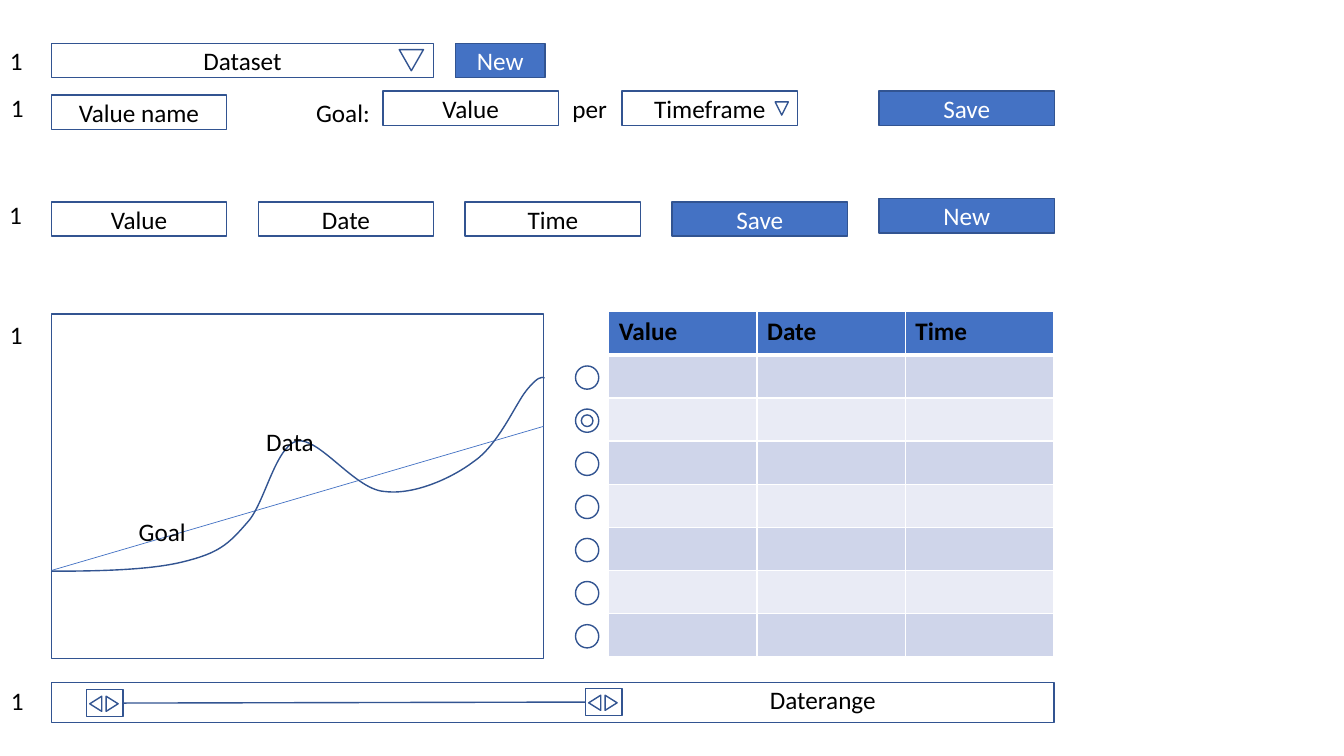
from lxml import etree
from pptx import Presentation
from pptx import util as u
from pptx.dml.color import RGBColor
from pptx.enum import shapes, text
from pptx.oxml import ns

COLORS = {"outline": "325491", "accent": "4472C4", "black": "000000",
          "white": "FFFFFF", "odd_row": "CFD5EA", "even_row": "E9EBF5"}
FONT, FONT_SIZE = "Calibri", 18

# Columns of fields
FIELD_LEFT, FIELD_STEP, FIELD_WIDTH, FIELD_HEIGHT = 36.7, 147.8, 125.3, 24.5
COLUMNS = [FIELD_LEFT + index * FIELD_STEP for index in range(5)]

# Label, left, top, width
FIELDS = [
    ("Dataset", COLUMNS[0], 31, 273),
    ("Value name", COLUMNS[0], 67.9, FIELD_WIDTH),
    ("Value", 273.6, 65.1, FIELD_WIDTH),
    ("Timeframe", 444.4, 65, FIELD_WIDTH),
    ("Value", COLUMNS[0], 144.2, FIELD_WIDTH),
    ("Date", COLUMNS[1], 144.2, FIELD_WIDTH),
    ("Time", COLUMNS[2], 144.2, FIELD_WIDTH),
]
BUTTONS = [
    ("New", 325.2, 31, 64.3),
    ("Save", COLUMNS[4], 65.1, FIELD_WIDTH),
    ("Save", COLUMNS[3], 144.2, FIELD_WIDTH),
    ("New", COLUMNS[4], 142, FIELD_WIDTH),
]
# Text, left, top, width, wraps
LABELS = [
    ("Goal:", 218.7, 65.7, 53.3, False),
    ("per", 401.8, 63, 39.6, False),
    ("Goal", 92, 365.3, 60.5, True),
    ("Data", 183.1, 300.7, 61.2, True),
    ("Daterange", 542.9, 485.5, 90.7, True),
    ("1", 0, 28.8, 23.8, True),
    ("1", 0.7, 62.6, 23.8, True),
    ("1", -0.5, 138.7, 23.8, True),
    ("1", 0, 224.6, 23.8, True),
    ("1", 0.7, 486.3, 23.8, True),
]
# Centre x, centre y, base, height
DROP_ARROWS = [(293.8, 43, 17.3, 15.1), (558.4, 77.5, 9.4, 9.4)]

CHART_FRAME = (36.7, 224.2, 351.4, 246.2)
GOAL_LINE = (36.7, 407.5, 388.1, 304.6)
DATA_START = (37.4, 408.2)
DATA_CURVES = [  # two control points and an end point for each stretch
    ((73.4, 407.5), (109.4, 406.8), (132.5, 401)),
    ((155.5, 395.3), (163.4, 388.8), (176.4, 374.4)),
    ((189.4, 360.7), (195.8, 319.7), (212.4, 315.4)),
    ((228.2, 311.8), (252.7, 349.2), (273.6, 351.4)),
    ((295.2, 353.5), (321.8, 342), (338.4, 329.8)),
    ((355.7, 317.5), (367.9, 289.4), (375.8, 279.4)),
    ((384.5, 269.3), (386.6, 269.3), (389.2, 270)),
]

HEADERS = ["Value", "Date", "Time"]
DATA_ROWS, ROW_HEIGHT, COLUMN_WIDTH = 7, 30.8, 105.9
TABLE_LEFT, TABLE_TOP = 434.9, 222.7
RADIO_LEFT, RADIO_TOP, RADIO_SIZE, SELECTED_ROW = 411.1, 261.4, 16.6, 1

RANGE_FRAME = (36.7, 487.4, 716.2, 28.8)
HANDLES = [(61.9, 492.5), (418.3, 491.8)]
HANDLE_SIZE = (25.9, 19.4)
HANDLE_ARROWS = [(6.5, 270), (18.2, 90)]  # offset of centre, rotation


def color(name):
    """Return the named colour."""
    return RGBColor.from_string(COLORS[name])


def write(frame, words, ink="black", bold=False, align=None):
    """Put one formatted line of text in a text frame."""
    para = frame.paragraphs[0]
    para.alignment = align
    span = para.add_run()
    span.text = words
    span.font.name, span.font.size = FONT, u.Pt(FONT_SIZE)
    span.font.bold = bold
    span.font.color.rgb = color(ink)


def paint(shape, fill=None):
    """Give a shape its outline and optional fill, without shadow."""
    shape.shadow.inherit = False
    if fill:
        shape.fill.solid()
        shape.fill.fore_color.rgb = color(fill)
    else:
        shape.fill.background()
    shape.line.color.rgb = color("outline")
    shape.line.width = u.Pt(1)


def add_shape(kind, left, top, width, height, fill=None):
    """Add a painted preset shape."""
    shape = page.shapes.add_shape(kind, *map(u.Pt, (left, top, width, height)))
    paint(shape, fill)
    return shape


def add_field(words, left, top, width, fill=None, ink="black"):
    """Add a rectangle with centred text."""
    box = add_shape(shapes.MSO_SHAPE.RECTANGLE, left, top, width, FIELD_HEIGHT, fill)
    box.text_frame.vertical_anchor = text.MSO_ANCHOR.MIDDLE
    write(box.text_frame, words, ink=ink, align=text.PP_ALIGN.CENTER)


def add_triangle(center_x, center_y, base, height, rotation):
    """Add a triangle turned about its centre."""
    triangle = add_shape(shapes.MSO_SHAPE.ISOSCELES_TRIANGLE, center_x - base / 2,
                         center_y - height / 2, base, height)
    triangle.rotation = rotation


def add_line(start_x, start_y, end_x, end_y, ink, width):
    """Add a straight line."""
    line = page.shapes.add_connector(shapes.MSO_CONNECTOR.STRAIGHT,
                                     *map(u.Pt, (start_x, start_y, end_x, end_y)))
    line.line.color.rgb = color(ink)
    line.line.width = u.Pt(width)
    etree.SubElement(line._element.spPr, ns.qn("a:effectLst"))


def add_curve(start, curves):
    """Add an open outline and join each three points into a Bezier curve."""
    builder = page.shapes.build_freeform(*start, scale=u.Pt(1))
    builder.add_line_segments([point for curve in curves for point in curve], close=False)
    shape = builder.convert_to_shape()
    paint(shape)
    steps = list(shape._element.iter(ns.qn("a:lnTo")))
    for first in range(0, len(steps), 3):
        bezier = etree.Element(ns.qn("a:cubicBezTo"))
        steps[first].addprevious(bezier)
        for step in steps[first:first + 3]:
            bezier.append(step[0])
            step.getparent().remove(step)


def add_borders(cell, row):
    """Draw white cell borders, heavy below the header."""
    widths = {"L": 1, "R": 1, "T": 3 if row == 1 else 1, "B": 3 if row == 0 else 1}
    for side, width in widths.items():
        border = etree.SubElement(cell._tc.get_or_add_tcPr(), ns.qn("a:ln" + side),
                                  w=str(u.Pt(width)))
        fill = etree.SubElement(border, ns.qn("a:solidFill"))
        etree.SubElement(fill, ns.qn("a:srgbClr"), val=COLORS["white"])


def add_entries():
    """Add the table of entries and its radio buttons."""
    size = (len(HEADERS) * COLUMN_WIDTH, (DATA_ROWS + 1) * ROW_HEIGHT)
    table = page.shapes.add_table(DATA_ROWS + 1, len(HEADERS), u.Pt(TABLE_LEFT),
                                  u.Pt(TABLE_TOP), *map(u.Pt, size)).table
    for column in table.columns:
        column.width = u.Pt(COLUMN_WIDTH)
    for row in range(DATA_ROWS + 1):
        table.rows[row].height = u.Pt(ROW_HEIGHT)
        fill = "accent" if row == 0 else "odd_row" if row % 2 else "even_row"
        for column, header in enumerate(HEADERS):
            cell = table.cell(row, column)
            add_borders(cell, row)
            cell.fill.solid()
            cell.fill.fore_color.rgb = color(fill)
            if row == 0:
                write(cell.text_frame, header, bold=True)
    for row in range(DATA_ROWS):
        top = RADIO_TOP + row * ROW_HEIGHT
        insets = (0, RADIO_SIZE / 4) if row == SELECTED_ROW else (0,)
        for inset in insets:
            side = RADIO_SIZE - 2 * inset
            add_shape(shapes.MSO_SHAPE.OVAL, RADIO_LEFT + inset, top + inset, side, side)


deck = Presentation()
deck.slide_width, deck.slide_height = u.Pt(960), u.Pt(540)
page = deck.slides.add_slide(deck.slide_layouts[6])

for field in FIELDS:
    add_field(*field)
for button in BUTTONS:
    add_field(*button, fill="accent", ink="white")
for arrow in DROP_ARROWS:
    add_triangle(*arrow, rotation=180)

add_shape(shapes.MSO_SHAPE.RECTANGLE, *CHART_FRAME)
add_line(*GOAL_LINE, ink="accent", width=0.5)
add_curve(DATA_START, DATA_CURVES)
add_entries()

add_shape(shapes.MSO_SHAPE.RECTANGLE, *RANGE_FRAME)
add_line(88.6, 502.2, 418.3, 501.5, ink="outline", width=1)
for left, top in HANDLES:
    add_shape(shapes.MSO_SHAPE.RECTANGLE, left, top, *HANDLE_SIZE)
    for offset, rotation in HANDLE_ARROWS:
        add_triangle(left + offset, top + HANDLE_SIZE[1] / 2 + 0.5, 10.8, 8.6, rotation)

for words, left, top, width, wraps in LABELS:
    label = page.shapes.add_textbox(*map(u.Pt, (left, top, width, 29.1)))
    label.text_frame.word_wrap = wraps
    label.text_frame.auto_size = text.MSO_AUTO_SIZE.SHAPE_TO_FIT_TEXT
    write(label.text_frame, words)

deck.save("out.pptx")
